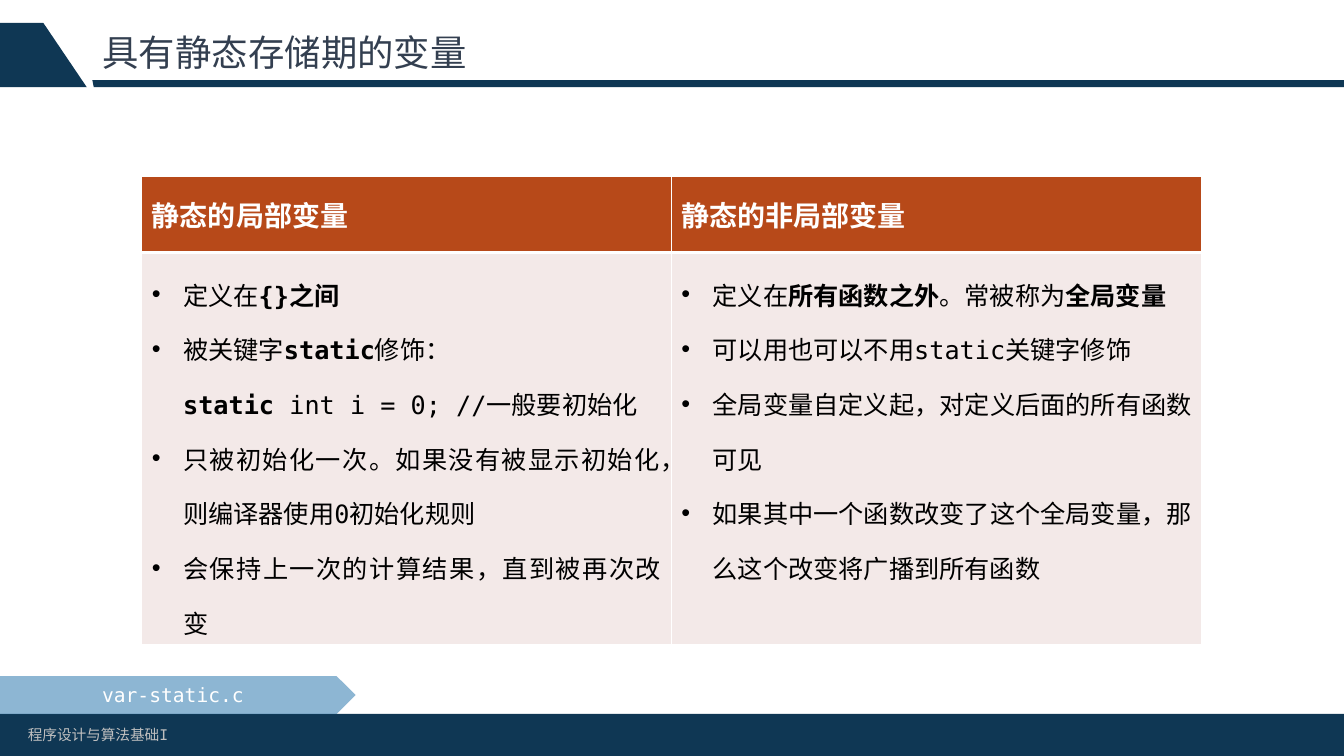
from pptx import Presentation
from pptx.dml.color import RGBColor
from pptx.enum.lang import MSO_LANGUAGE_ID as LANG
from pptx.enum.shapes import MSO_SHAPE as SHAPE
from pptx.enum.text import MSO_ANCHOR as ANCHOR, PP_ALIGN as ALIGN
from pptx.oxml import parse_xml
from pptx.oxml.ns import nsdecls, qn
from pptx.util import Pt
from lxml import etree

FONT = "DejaVu Sans Mono"
NAVY, RUST, BLUSH, WHITE = "0F3754", "B74919", "F3E9E8", "FFFFFF"
TITLE = "具有静态存储期的变量"
COURSE = "程序设计与算法基础I"
FILE_NAME = "var-static.c"
HEADINGS = ["静态的局部变量", "静态的非局部变量"]
POINTS = [
    [
        ("•", [("定义在", False), ("{}之间", True)]),
        ("•", [("被关键字", False), ("static", True), ("修饰：", False)]),
        ("", [("static", True), (" int i = 0; //一般要初始化", False)]),
        ("•", [("只被初始化一次。如果没有被显示初始化，则编译器使用0初始化规则", False)]),
        ("•", [("会保持上一次的计算结果，直到被再次改变", False)]),
    ],
    [
        ("•", [("定义在", False), ("所有函数之外", True), ("。常被称为", False), ("全局变量", True)]),
        ("•", [("可以用也可以不用static关键字修饰", False)]),
        ("•", [("全局变量自定义起，对定义后面的所有函数可见", False)]),
        ("•", [("如果其中一个函数改变了这个全局变量，那么这个改变将广播到所有函数", False)]),
    ],
]
BAND = [(66, 57.3), (960, 57.3), (960, 62.3), (67, 62.3)]
CORNER = [(0, 16.4), (31, 16.4), (62, 62.3), (0, 62.3)]
COLUMN_WIDTHS = [378.2, 379]
ROW_HEIGHTS = [54.4, 280.4]
INDENT = 22.3


def color(value):
    return RGBColor.from_string(value)


def paint(shape, value):
    shape.shadow.inherit = False
    shape.fill.solid()
    shape.fill.fore_color.rgb = color(value)
    shape.line.fill.background()


def style(run, size, value, bold=False):
    run.font.name = FONT
    run.font.size = Pt(size)
    run.font.bold = bold
    run.font.color.rgb = color(value)
    run.font.language_id = LANG.SIMPLIFIED_CHINESE


def write(frame, text, size, value, bold=False):
    frame.text = text
    style(frame.paragraphs[0].runs[0], size, value, bold)


def outline(points):
    builder = slide.shapes.build_freeform(Pt(points[0][0]), Pt(points[0][1]))
    builder.add_line_segments([(Pt(x), Pt(y)) for x, y in points[1:]], close=True)
    paint(builder.convert_to_shape(), NAVY)


def label(text, left, top, width, height, size, value):
    box = slide.shapes.add_textbox(Pt(left), Pt(top), Pt(width), Pt(height))
    box.text_frame.word_wrap = True
    write(box.text_frame, text, size, value)
    return box.text_frame


def border(cell, top, bottom):
    properties = cell._tc.get_or_add_tcPr()
    sides = [("lnL", 1), ("lnR", 1), ("lnT", top), ("lnB", bottom)]
    for position, (side, width) in enumerate(sides):
        properties.insert(position, parse_xml(
            f'<a:{side} {nsdecls("a")} w="{Pt(width)}"><a:solidFill>'
            f'<a:srgbClr val="{WHITE}"/></a:solidFill></a:{side}>'))


def write_point(paragraph, marker, parts):
    paragraph.alignment = ALIGN.JUSTIFY
    paragraph.line_spacing = 1.5
    properties = paragraph._p.get_or_add_pPr()
    properties.set("marL", str(Pt(INDENT)))
    properties.set("indent", str(Pt(-INDENT if marker else 0)))
    if marker:
        etree.SubElement(properties, qn("a:buFont")).set("typeface", "Arial")
        etree.SubElement(properties, qn("a:buChar")).set("char", marker)
    else:
        etree.SubElement(properties, qn("a:buNone"))
    for text, bold in parts:
        run = paragraph.add_run()
        run.text = text
        style(run, 18, "000000", bold)


deck = Presentation()
deck.slide_width, deck.slide_height = Pt(960), Pt(540)
slide = deck.slides.add_slide(deck.slide_layouts[6])

outline(BAND)
outline(CORNER)
footer = slide.shapes.add_shape(SHAPE.RECTANGLE, 0, Pt(510), Pt(960), Pt(30))
paint(footer, NAVY)
label(COURSE, 12.8, 514.6, 311, 20.6, 10.5, "BFBFBF")
title = label(TITLE, 66.2, 16.4, 828, 46, 26, "333F50")
title.vertical_anchor = ANCHOR.MIDDLE
title.paragraphs[0].line_spacing = 0.9

comparison = slide.shapes.add_table(
    2, 2, Pt(101.3), Pt(126), Pt(sum(COLUMN_WIDTHS)), Pt(sum(ROW_HEIGHTS))).table
for row, height in zip(comparison.rows, ROW_HEIGHTS):
    row.height = Pt(height)
for index, width in enumerate(COLUMN_WIDTHS):
    comparison.columns[index].width = Pt(width)
    heading, body = comparison.cell(0, index), comparison.cell(1, index)
    for cell, value, top, bottom in [(heading, RUST, 1, 3), (body, BLUSH, 1, 1)]:
        cell.fill.solid()
        cell.fill.fore_color.rgb = color(value)
        border(cell, top, bottom)
    heading.vertical_anchor = ANCHOR.MIDDLE
    write(heading.text_frame, HEADINGS[index], 20, WHITE, True)
    for number, (marker, parts) in enumerate(POINTS[index]):
        frame = body.text_frame
        paragraph = frame.add_paragraph() if number else frame.paragraphs[0]
        write_point(paragraph, marker, parts)

file_tag = slide.shapes.add_shape(SHAPE.PENTAGON, 0, Pt(483), Pt(254), Pt(27))
paint(file_tag, "1D6FA9")
tint = file_tag.fill._xPr.find(".//" + qn("a:srgbClr"))
etree.SubElement(tint, qn("a:alpha")).set("val", "50000")
write(file_tag.text_frame, FILE_NAME, 14, WHITE)
file_tag.text_frame.vertical_anchor = ANCHOR.MIDDLE
file_tag.text_frame.paragraphs[0].alignment = ALIGN.CENTER

deck.save("out.pptx")
